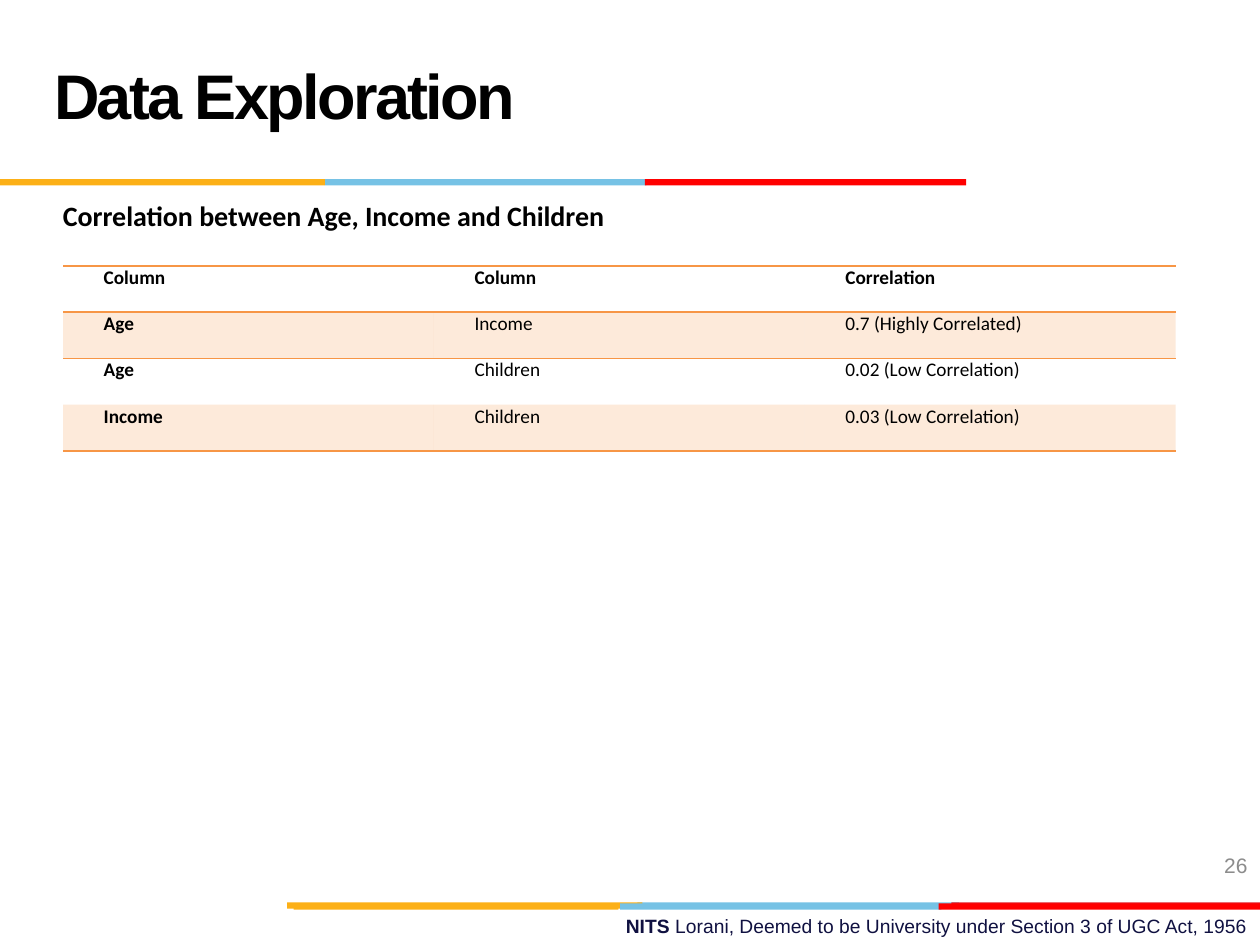
from dataclasses import dataclass

from lxml.etree import SubElement
from pptx import Presentation
from pptx.dml.color import RGBColor
from pptx.enum.shapes import MSO_SHAPE
from pptx.enum.text import MSO_ANCHOR, PP_ALIGN
from pptx.oxml import parse_xml
from pptx.oxml.ns import nsdecls, qn
from pptx.util import Cm, Pt


@dataclass(frozen=True)
class Theme:
    """Colours, fonts and type sizes of the slide."""
    black: str = "000000"
    navy: str = "101141"
    grey: str = "8C8C8C"
    orange: str = "F79646"
    gold: str = "FCB017"
    blue: str = "76C2E5"
    crimson: str = "E31C24"
    red: str = "FF0000"
    heading_font: str = "Arial"
    body_font: str = "Calibri"
    title_size: int = 36
    subtitle_size: int = 16
    number_size: int = 12
    small_size: int = 11


THEME = Theme()
NO_GRID_STYLE = "{2D5ABB26-0587-4C30-8999-92F81FD0307C}"
BAR_HEIGHT = 0.13
HEADER_BARS = [(6.55, 6.48, THEME.blue), (0, 6.55, THEME.gold), (13, 6.48, THEME.red)]
FOOTER_BACK_BARS = [(12.85, 6.48, THEME.blue), (19.18, 6.22, THEME.crimson), (5.79, 7.16, THEME.gold)]
FOOTER_FRONT_BARS = [(12.5, 6.48, THEME.blue), (5.92, 6.55, THEME.gold), (18.92, 6.48, THEME.red)]
CORRELATIONS = [
    ("Column", "Column", "Correlation"),
    ("Age", "Income", "0.7 (Highly Correlated)"),
    ("Age", "Children", "0.02 (Low Correlation)"),
    ("Income", "Children", "0.03 (Low Correlation)"),
]


def apply_format(target, values):
    """Set each named attribute of the target."""
    for name, value in values.items():
        setattr(target, name, value)


def add_run(paragraph, text, font, size, color, bold=False):
    """Add one formatted run to a paragraph."""
    run = paragraph.add_run()
    run.text = text
    apply_format(run.font, {"name": font, "size": Pt(size), "bold": bold})
    run.font.color.rgb = RGBColor.from_string(color)
    return run


def add_text_box(slide, box, align=PP_ALIGN.LEFT, anchor=MSO_ANCHOR.MIDDLE, **frame_format):
    """Add a wrapping text box and return its first paragraph."""
    frame = slide.shapes.add_textbox(*map(Cm, box)).text_frame
    apply_format(frame, {"word_wrap": True, "vertical_anchor": anchor, **frame_format})
    paragraph = frame.paragraphs[0]
    paragraph.alignment = align
    return paragraph


def add_bars(slide, top, bars):
    """Add a row of thin coloured bars."""
    for left, width, color in bars:
        shape = slide.shapes.add_shape(
            MSO_SHAPE.RECTANGLE, Cm(left), Cm(top), Cm(width), Cm(BAR_HEIGHT))
        shape.shadow.inherit = False
        shape.fill.solid()
        shape.fill.fore_color.rgb = RGBColor.from_string(color)
        shape.line.fill.background()


def shade_cell(cell):
    """Fill a cell with translucent orange."""
    cell.fill.solid()
    cell.fill.fore_color.rgb = RGBColor.from_string(THEME.orange)
    color = cell._tc.tcPr.find(qn("a:solidFill"))[0]
    SubElement(color, qn("a:alpha")).set("val", "20000")


def add_borders(cell, sides):
    """Draw orange rules on the given sides of a cell."""
    for position, side in enumerate(sides):
        border = parse_xml(
            f'<a:ln{side} {nsdecls("a")} w="{Pt(1)}"><a:solidFill>'
            f'<a:srgbClr val="{THEME.orange}"/></a:solidFill></a:ln{side}>')
        cell._tc.get_or_add_tcPr().insert(position, border)


def add_correlation_table(slide):
    """Add the table of column pairs and their correlation."""
    rows, columns = len(CORRELATIONS), len(CORRELATIONS[0])
    table = slide.shapes.add_table(
        rows, columns, Cm(1.27), Cm(5.36), Cm(22.43), Cm(3.73)).table
    apply_format(table, {"first_row": True, "first_col": True, "horz_banding": True})
    table._tbl.tblPr.find(qn("a:tableStyleId")).text = NO_GRID_STYLE
    border_sides = {0: "TB", 1: "T", rows - 1: "B"}
    for row, texts in enumerate(CORRELATIONS):
        for column, text in enumerate(texts):
            cell = table.cell(row, column)
            apply_format(cell, {
                "margin_left": Cm(0.18), "margin_right": Cm(0.18),
                "margin_top": 0, "margin_bottom": 0})
            paragraph = cell.text_frame.paragraphs[0]
            paragraph.space_after = Pt(4)
            paragraph._p.get_or_add_pPr().set("indent", str(Cm(0.64)))
            add_run(paragraph, text, THEME.body_font, THEME.small_size,
                    THEME.black, bold=row == 0 or column == 0)
            if row % 2:
                shade_cell(cell)
            else:
                cell.fill.background()
            add_borders(cell, border_sides.get(row, ""))


def add_footer(slide):
    """Add the institution line and the footer bars."""
    paragraph = add_text_box(slide, (9.09, 18.31, 16.31, 0.74), PP_ALIGN.RIGHT, MSO_ANCHOR.TOP)
    style = (THEME.heading_font, THEME.small_size, THEME.navy)
    add_run(paragraph, "NITS ", *style, bold=True)
    add_run(paragraph, "Lorani, Deemed to be University under Section 3 of UGC Act, 1956", *style)
    add_bars(slide, 18.19, FOOTER_BACK_BARS)
    add_bars(slide, 18.21, FOOTER_FRONT_BARS)


def add_title(slide):
    """Add the tightly spaced slide title."""
    paragraph = add_text_box(slide, (0.84, 0.43, 17.58, 3.18))
    paragraph.line_spacing = Pt(THEME.title_size)
    run = add_run(paragraph, "Data Exploration", THEME.heading_font,
                  THEME.title_size, THEME.black, bold=True)
    run.font._element.set("spc", "-150")


def main():
    """Build the slide and save it."""
    presentation = Presentation()
    apply_format(presentation, {"slide_width": Cm(25.4), "slide_height": Cm(19.05)})
    slide = presentation.slides.add_slide(presentation.slide_layouts[6])
    add_footer(slide)
    add_bars(slide, 3.61, HEADER_BARS)
    add_title(slide)
    number = add_text_box(slide, (19.48, 16.94, 5.92, 1.02), PP_ALIGN.RIGHT)
    add_run(number, "26", THEME.heading_font, THEME.number_size, THEME.grey)
    add_correlation_table(slide)
    subtitle = add_text_box(slide, (1.27, 3.95, 11.05, 0.8), word_wrap=False,
                            margin_left=0, margin_right=0, margin_top=0, margin_bottom=0)
    add_run(subtitle, "Correlation between Age, Income and Children",
            THEME.body_font, THEME.subtitle_size, THEME.black, bold=True)
    presentation.save("out.pptx")


if __name__ == "__main__":
    main()
